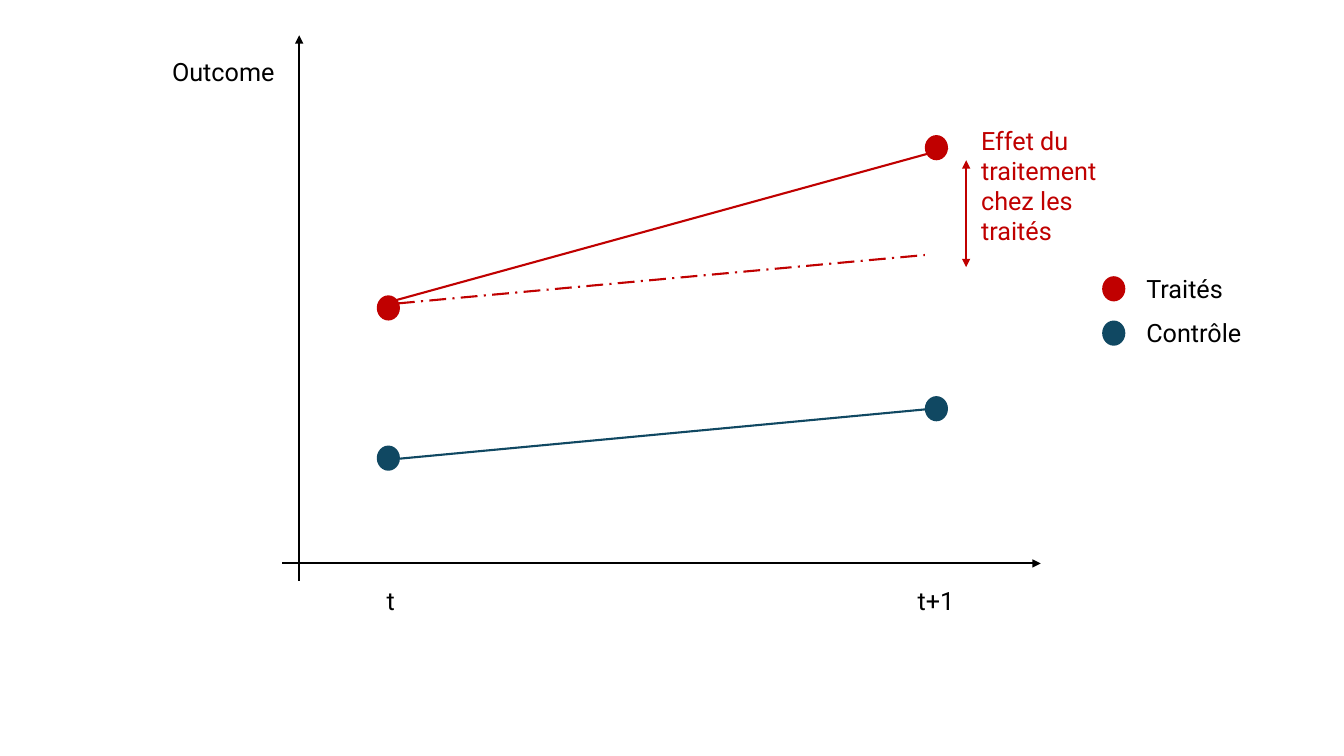
from lxml import etree
from pptx import Presentation
from pptx.dml.color import RGBColor
from pptx.enum.dml import MSO_LINE
from pptx.enum.shapes import MSO_CONNECTOR, MSO_SHAPE
from pptx.oxml.ns import qn
from pptx.util import Inches, Pt

STRAIGHT = MSO_CONNECTOR.STRAIGHT
OVAL = MSO_SHAPE.OVAL
LONG_DASH_DOT = MSO_LINE.LONG_DASH_DOT

BLACK = RGBColor(0x00, 0x00, 0x00)
RED = RGBColor(0xC0, 0x00, 0x00)
BLUE = RGBColor(0x10, 0x48, 0x62)

DOT_WIDTH, DOT_HEIGHT = 0.23, 0.25
TIME_X = (3.74, 9.18)
LEGEND_DOT_X, LEGEND_TEXT_X = 10.94, 11.28
LEGEND_TOP, LEGEND_STEP = 2.66, 0.44
LEGEND_DOT_OFFSET = 0.08
LABEL_HEIGHT = 0.4

# name, colour, dot tops at t and t+1
GROUPS = [
    ("Traités", RED, (2.93, 1.34)),
    ("Contrôle", BLUE, (4.42, 3.93)),
]

# start, end, colour, dash style, arrowheads
LINES = [
    ((2.8, 5.59), (10.33, 5.59), BLACK, None, ("tailEnd",)),
    ((2.97, 5.76), (2.97, 0.35), BLACK, None, ("tailEnd",)),
    ((3.97, 4.55), (9.2, 4.06), BLUE, None, ()),
    ((3.95, 3.01), (9.18, 2.53), RED, LONG_DASH_DOT, ()),
    ((3.85, 3.0), (9.41, 1.47), RED, None, ()),
    ((9.59, 1.59), (9.59, 2.65), RED, None, ("headEnd", "tailEnd")),
]

# text, left, top, width, height, colour
LABELS = [
    ("Outcome", 1.61, 0.51, 1.46, LABEL_HEIGHT, BLACK),
    ("t", 3.74, 5.76, 0.33, LABEL_HEIGHT, BLACK),
    ("t+1", 9.01, 5.76, 0.58, LABEL_HEIGHT, BLACK),
    ("Effet du traitement chez les traités", 9.64, 1.19, 1.45, 1.3, RED),
]


def add_line(page, start, end, colour, dash, arrowheads):
    connector = page.shapes.add_connector(
        STRAIGHT, *(Inches(value) for value in start + end))
    connector.line.color.rgb = colour
    connector.line.width = Pt(1.5)
    if dash is not None:
        connector.line.dash_style = dash
    properties = connector._element.spPr
    outline = properties.find(qn("a:ln"))
    for arrowhead in arrowheads:
        etree.SubElement(outline, qn(f"a:{arrowhead}"), type="triangle")
    etree.SubElement(properties, qn("a:effectLst"))


def add_dot(page, left, top, colour):
    dot = page.shapes.add_shape(
        OVAL, Inches(left), Inches(top), Inches(DOT_WIDTH), Inches(DOT_HEIGHT))
    dot.shadow.inherit = False
    dot.fill.solid()
    dot.fill.fore_color.rgb = colour
    dot.line.fill.background()


def add_label(page, text, left, top, width, height, colour):
    box = page.shapes.add_textbox(
        Inches(left), Inches(top), Inches(width), Inches(height))
    box.text_frame.word_wrap = True
    span = box.text_frame.paragraphs[0].add_run()
    span.text = text
    for name, value in {"name": "Roboto", "size": Pt(18)}.items():
        setattr(span.font, name, value)
    span.font.color.rgb = colour


def main():
    deck = Presentation()
    deck.slide_width, deck.slide_height = Inches(13.34), Inches(7.5)
    page = deck.slides.add_slide(deck.slide_layouts[6])

    for index, (name, colour, dot_tops) in enumerate(GROUPS):
        for left, top in zip(TIME_X, dot_tops):
            add_dot(page, left, top, colour)
        legend_top = LEGEND_TOP + index * LEGEND_STEP
        add_dot(page, LEGEND_DOT_X, legend_top + LEGEND_DOT_OFFSET, colour)
        add_label(page, name, LEGEND_TEXT_X, legend_top, 1.45, LABEL_HEIGHT, BLACK)
    for line in LINES:
        add_line(page, *line)
    for label in LABELS:
        add_label(page, *label)

    deck.save("out.pptx")


if __name__ == "__main__":
    main()
